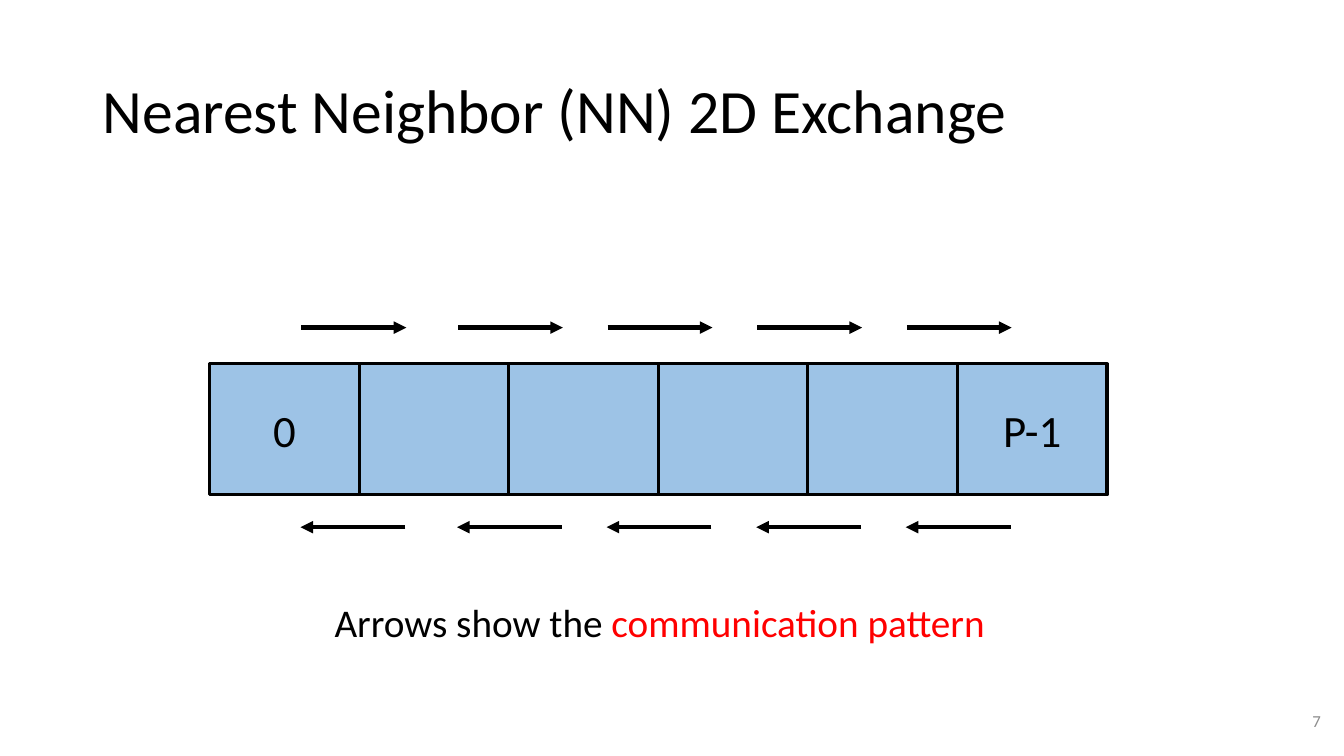
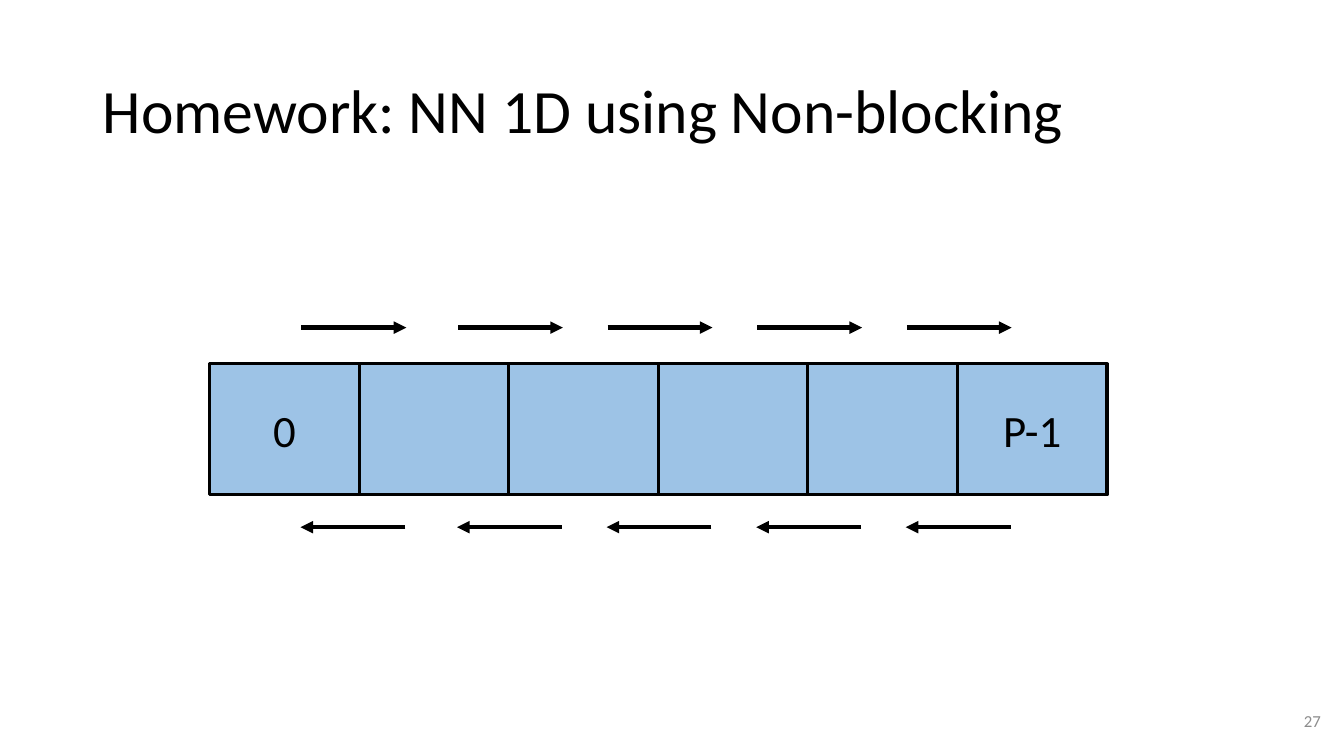
from dataclasses import dataclass

from lxml.etree import SubElement
from pptx import Presentation
from pptx.dml.color import RGBColor
from pptx.enum.shapes import MSO_CONNECTOR, MSO_SHAPE
from pptx.enum.text import MSO_ANCHOR, PP_ALIGN
from pptx.oxml.ns import qn
from pptx.shapes.group import GroupShape
from pptx.slide import Slide
from pptx.text.text import TextFrame
from pptx.util import Inches, Pt

# Shared style
FONT = "Calibri"
BLACK, RED, GREY, BLUE = "000000", "FF0000", "8C8C8C", "9DC3E6"

# Process row: six equal cells, with arrows above and below (inches)
CELLS = 6
ROW_LEFT, ROW_TOP, ROW_WIDTH, ROW_HEIGHT = 2.08, 3.61, 8.9, 1.3
PITCH = ROW_WIDTH / CELLS
ARROW_LENGTH = 1.04
ARROW_INSET = 0.98  # from a cell's left edge to the start of its arrow
FIRST_NUDGE = -0.07  # the first pair of arrows sits slightly further left
RIGHT_Y, LEFT_Y = 3.25, 5.23


@dataclass(frozen=True)
class Box:
    left: float
    top: float
    width: float
    height: float


@dataclass(frozen=True)
class Run:
    text: str
    color: str = BLACK


@dataclass(frozen=True)
class Page:
    title: str
    number: int
    caption: tuple[Run, ...] = ()


TITLE_BOX = Box(0.92, 0.4, 11.5, 1.45)
NUMBER_BOX = Box(10.2, 6.95, 3, 0.4)
CAPTION_BOX = Box(3.22, 5.88, 6.89, 0.57)

PAGES = (
    Page("Nearest Neighbor (NN) 2D Exchange", 7,
         (Run("Arrows show the "), Run("communication pattern", RED))),
    Page("Homework: NN 1D using Non-blocking", 27),
)


def rgb(color: str) -> RGBColor:
    return RGBColor.from_string(color)


def write(tf: TextFrame, runs: tuple[Run, ...], size: float,
          align: PP_ALIGN = PP_ALIGN.LEFT, spacing: float = 1.0) -> None:
    tf.word_wrap = True
    tf.vertical_anchor = MSO_ANCHOR.MIDDLE
    p = tf.paragraphs[0]
    p.alignment = align
    p.line_spacing = spacing
    for run in runs:
        r = p.add_run()
        r.text = run.text
        r.font.name = FONT
        r.font.size = Pt(size)
        r.font.color.rgb = rgb(run.color)


def add_text(slide: Slide, box: Box, runs: tuple[Run, ...], size: float,
             align: PP_ALIGN = PP_ALIGN.LEFT, spacing: float = 1.0) -> None:
    sp = slide.shapes.add_textbox(Inches(box.left), Inches(box.top),
                                  Inches(box.width), Inches(box.height))
    write(sp.text_frame, runs, size, align, spacing)


def add_cell(group: GroupShape, column: int, label: str) -> None:
    sp = group.shapes.add_shape(
        MSO_SHAPE.RECTANGLE, Inches(ROW_LEFT + column * PITCH), Inches(ROW_TOP),
        Inches(PITCH), Inches(ROW_HEIGHT))
    sp.shadow.inherit = False
    sp.fill.solid()
    sp.fill.fore_color.rgb = rgb(BLUE)
    sp.line.color.rgb = rgb(BLACK)
    sp.line.width = Pt(2.25)
    if label:
        write(sp.text_frame, (Run(label),), 32, PP_ALIGN.CENTER)


def add_arrow(group: GroupShape, start: float, end: float, y: float) -> None:
    line = group.shapes.add_connector(
        MSO_CONNECTOR.STRAIGHT, Inches(start), Inches(y), Inches(end), Inches(y))
    line.line.color.rgb = rgb(BLACK)
    line.line.width = Pt(3)
    SubElement(line.line._get_or_add_ln(), qn("a:tailEnd"), type="triangle")
    SubElement(line._element.spPr, qn("a:effectLst"))


def add_process_row(slide: Slide) -> None:
    group = slide.shapes.add_group_shape()
    labels = {0: "0", CELLS - 1: "P-1"}
    for column in range(CELLS):
        add_cell(group, column, labels.get(column, ""))
    # One arrow each way across every boundary between neighbours
    for column in range(CELLS - 1):
        x = ROW_LEFT + column * PITCH + ARROW_INSET
        if column == 0:
            x += FIRST_NUDGE
        add_arrow(group, x, x + ARROW_LENGTH, RIGHT_Y)
        add_arrow(group, x + ARROW_LENGTH - 0.01, x - 0.01, LEFT_Y)


def main() -> None:
    prs = Presentation()
    prs.slide_width, prs.slide_height = Inches(13.33), Inches(7.5)
    for page in PAGES:
        slide = prs.slides.add_slide(prs.slide_layouts[6])
        add_text(slide, TITLE_BOX, (Run(page.title),), 44, spacing=0.9)
        add_process_row(slide)
        add_text(slide, NUMBER_BOX, (Run(str(page.number), GREY),), 12, PP_ALIGN.RIGHT)
        if page.caption:
            add_text(slide, CAPTION_BOX, page.caption, 28)
    prs.save("out.pptx")


if __name__ == "__main__":
    main()
